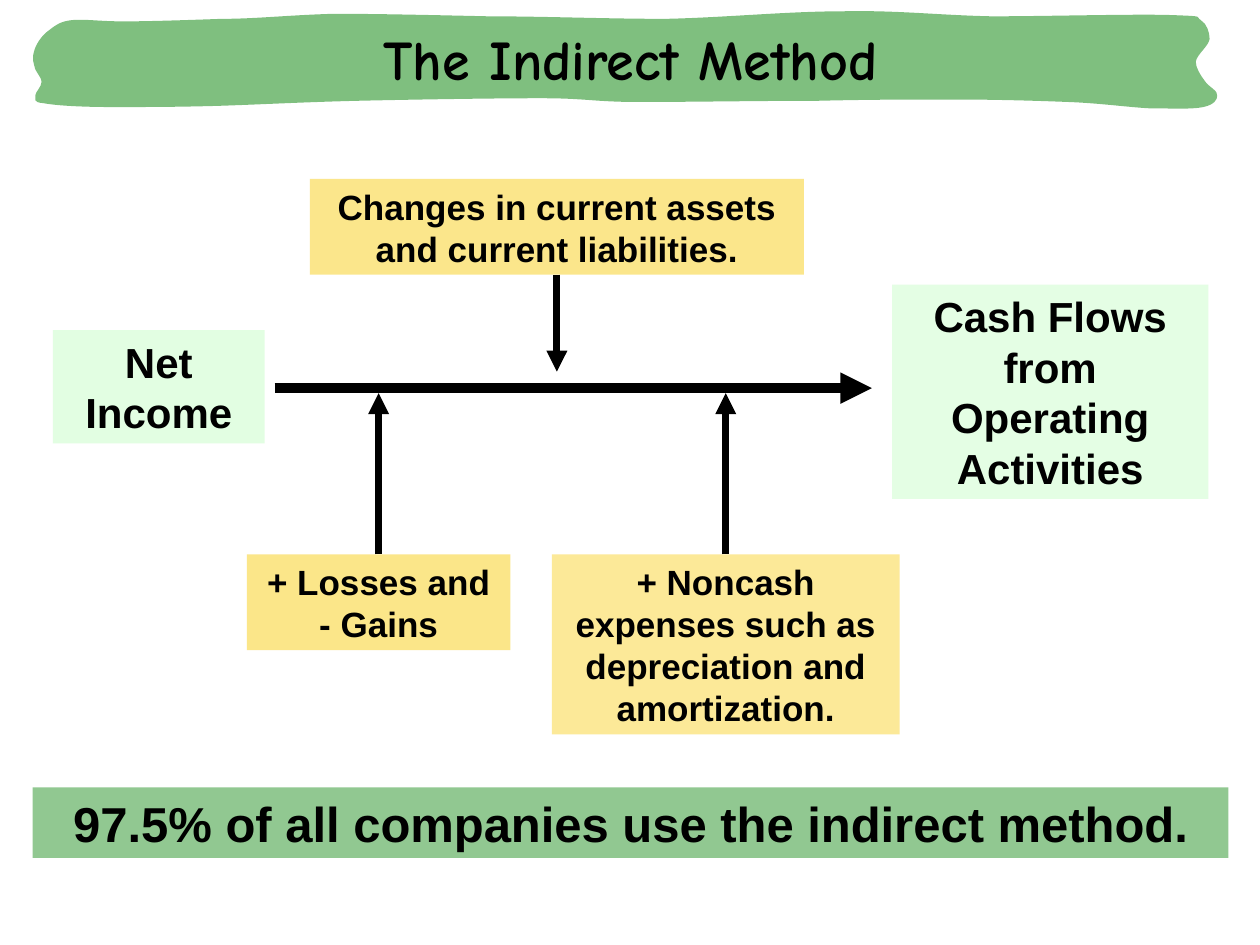
import pptx
import pptx.dml.color
import pptx.enum.shapes
import pptx.enum.text
import pptx.oxml
import pptx.oxml.ns
import pptx.util

Inches, Pt = pptx.util.Inches, pptx.util.Pt
qn = pptx.oxml.ns.qn
COLORS = {"ink": "000000", "green": "008000", "mint": "C8FEC8", "gold": "F8CB0A"}

# Ribbon outline in hundredths of an inch: a start, then cubic curves
START = (732, 71)
CURVES = [
    (699, 71, 666, 71, 625, 72), (583, 72, 519, 73, 483, 73),
    (446, 73, 441, 70, 404, 70), (367, 70, 303, 71, 260, 72),
    (218, 73, 181, 75, 149, 76), (116, 77, 88, 77, 65, 77),
    (42, 77, 21, 76, 10, 74), (0, 73, 4, 71, 3, 68),
    (3, 65, 8, 61, 8, 57), (8, 54, 5, 51, 3, 47),
    (2, 43, 0, 39, 2, 33), (3, 28, 8, 20, 14, 16),
    (19, 12, 23, 9, 32, 8), (42, 7, 54, 9, 73, 9),
    (93, 9, 123, 8, 151, 7), (178, 7, 204, 4, 240, 3),
    (275, 3, 319, 4, 363, 5), (407, 5, 457, 7, 503, 7),
    (550, 6, 600, 1, 643, 1), (687, 0, 718, 4, 762, 5),
    (805, 5, 878, 3, 905, 4), (933, 5, 923, 5, 928, 8),
    (933, 11, 935, 18, 935, 23), (934, 29, 925, 35, 924, 41),
    (924, 46, 928, 52, 931, 56), (934, 61, 942, 64, 941, 68),
    (941, 71, 939, 75, 930, 77), (920, 79, 904, 78, 887, 78),
    (869, 77, 849, 74, 823, 73), (798, 72, 766, 71, 732, 71),
]


def color(name):
    return pptx.dml.color.RGBColor.from_string(COLORS[name])


def paint(shape, name, alpha):
    """Fill a shape with a see-through colour, no line and no shadow."""
    shape.shadow.inherit = False
    shape.line.fill.background()
    shape.fill.solid()
    shape.fill.fore_color.rgb = color(name)
    tint = shape._element.spPr.find(qn("a:solidFill"))[0]
    tint.append(tint.makeelement(qn("a:alpha"), {"val": str(alpha * 1000)}))


def write(shape, text, size, font="Arial"):
    frame = shape.text_frame
    frame.text = text
    para = frame.paragraphs[0]
    para.alignment = pptx.enum.text.PP_ALIGN.CENTER
    para.space_before = Pt(0)
    face = para.runs[0].font
    face.name, face.size, face.bold = font, Pt(size), True
    face.color.rgb = color("ink")


def panel(slide, box, text, size, fill, alpha):
    """Add a tinted rectangle with centred bold text."""
    shape = slide.shapes.add_shape(
        pptx.enum.shapes.MSO_SHAPE.RECTANGLE, *map(Inches, box))
    paint(shape, fill, alpha)
    write(shape, text, size)
    frame = shape.text_frame
    frame.word_wrap = True
    frame.auto_size = pptx.enum.text.MSO_AUTO_SIZE.SHAPE_TO_FIT_TEXT
    frame.vertical_anchor = pptx.enum.text.MSO_ANCHOR.TOP
    return shape


def arrow(slide, start, end, width):
    line = slide.shapes.add_connector(
        pptx.enum.shapes.MSO_CONNECTOR.STRAIGHT, *map(Inches, start + end))
    line.line.color.rgb = color("ink")
    line.line.width = Pt(width)
    stroke = line.line._get_or_add_ln()
    stroke.append(stroke.makeelement(qn("a:tailEnd"), {"type": "triangle"}))
    props = line._element.spPr
    props.append(props.makeelement(qn("a:effectLst"), {}))
    return line


def curved(slide, left, top):
    """Build the ribbon from its knots, then bend each side into a curve."""
    knots = [curve[4:] for curve in CURVES]
    pen = slide.shapes.build_freeform(*START, scale=float(Inches(0.01)))
    pen.add_line_segments(knots, close=True)
    shape = pen.convert_to_shape(Inches(left), Inches(top))
    low_x, low_y = map(min, zip(*knots))
    sides = list(shape._element.iter(qn("a:lnTo")))
    for side, curve in zip(sides, CURVES):
        bend = side.makeelement(qn("a:cubicBezTo"), {})
        for x, y in zip(curve[::2], curve[1::2]):
            spot = {"x": str(x - low_x), "y": str(y - low_y)}
            bend.append(bend.makeelement(qn("a:pt"), spot))
        side.getparent().replace(side, bend)
    return shape


def header(slide, box):
    """Draw the ribbon and put the title over it."""
    left, top, width, height = box
    paint(curved(slide, left, top), "green", 50)

    title = slide.shapes.title
    title.left, title.top = Inches(left + 1.42), Inches(top + 0.09)
    title.width, title.height = Inches(width - 2.75), Inches(height - 0.2)
    write(title, "The Indirect Method", 32, "Comic Neue")
    title.text_frame.word_wrap = False
    title.text_frame.vertical_anchor = pptx.enum.text.MSO_ANCHOR.MIDDLE
    slide.shapes._spTree.append(title._element)  # in front of the ribbon


def flow(slide, box):
    """Draw the path from income to cash flows and its adjustments."""
    left, top, width, height = box
    axis = top + 1.66

    # Main path
    arrow(slide, (left + 1.76, axis), (left + 6.5, axis), 6)
    panel(slide, (left, top + 1.2, 1.68, 0.9), "Net Income", 24, "mint", 51)
    panel(slide, (left + width - 2.51, top + 0.84, 2.51, 1.7),
          "Cash Flows from Operating Activities", 24, "mint", 48)

    # Adjustments: offset, size, text, opacity, side joined, arrow tip
    low = height - 1.43
    parts = [
        (2.04, 0, 3.92, 0.76, "Changes in current assets and current liabilities.",
         47, 2, axis - 0.13),
        (1.54, low, 2.09, 0.76, "+ Losses and - Gains", 48, 0, axis + 0.04),
        (3.96, low, 2.76, 1.43,
         "+ Noncash expenses such as depreciation and amortization.",
         42, 0, axis + 0.04),
    ]
    for x, y, w, h, text, alpha, side, tip in parts:
        mid = left + x + w / 2
        edge = top + y + (h if side == 2 else 0)
        line = arrow(slide, (mid, edge), (mid, tip), 4)
        note = panel(slide, (left + x, top + y, w, h), text, 20, "gold", alpha)
        line.begin_connect(note, side)


def footer(slide, box):
    panel(slide, box, "97.5% of all companies use the indirect method.",
          28, "green", 43)


def main():
    deck = pptx.Presentation()
    deck.slide_width, deck.slide_height = Inches(10), Inches(7.5)
    slide = deck.slides.add_slide(deck.slide_layouts[5])
    footer(slide, (0.26, 6.25, 9.49, 0.56))
    flow(slide, (0.42, 1.42, 9.17, 4.41))
    header(slide, (0.25, 0.08, 9.42, 0.78))
    deck.save("out.pptx")


if __name__ == "__main__":
    main()
